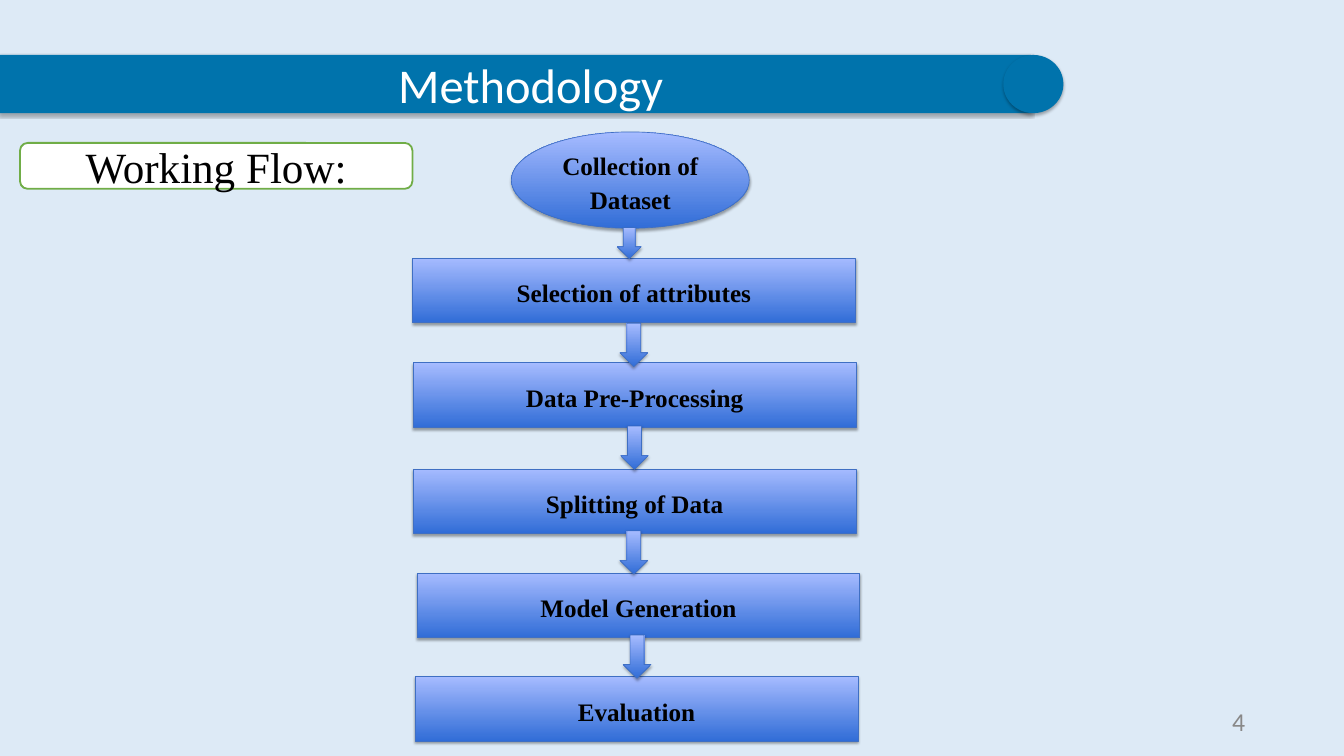
from lxml import etree
from pptx import Presentation
from pptx.dml.color import RGBColor
from pptx.enum import shapes, text
from pptx.oxml import ns
from pptx.util import Inches, Pt

BACKGROUND = RGBColor(0xDD, 0xEA, 0xF6)
TITLE_BLUE = RGBColor(0x00, 0x73, 0xAC)
GREEN = RGBColor(0x70, 0xAD, 0x47)
FLOW_DARK = RGBColor(0x31, 0x6D, 0xD7)
FLOW_LIGHT = RGBColor(0xA6, 0xBB, 0xFF)
FLOW_LINE = RGBColor(0x3F, 0x6F, 0xC3)
WHITE = RGBColor(0xFF, 0xFF, 0xFF)
BLACK = RGBColor(0x00, 0x00, 0x00)
GREY = RGBColor(0x88, 0x88, 0x88)

KIND = shapes.MSO_SHAPE
CENTER = text.PP_ALIGN.CENTER
SERIF = "Times New Roman"


def add_shadow(shape, opacity, blur, distance):
    """Cast a soft black shadow straight down."""
    shape.shadow.inherit = False
    effects = shape._element.spPr.find(ns.qn("a:effectLst"))
    shadow = etree.SubElement(effects, ns.qn("a:outerShdw"), blurRad=str(Pt(blur)),
                              dist=str(Pt(distance)), dir="5400000", rotWithShape="0")
    color = etree.SubElement(shadow, ns.qn("a:srgbClr"), val="000000")
    etree.SubElement(color, ns.qn("a:alpha"), val=str(opacity * 1000))


def write(box, words, size, font, color, bold=False, align=CENTER,
          anchor=text.MSO_ANCHOR.MIDDLE):
    frame = box.text_frame
    frame.word_wrap = True
    frame.vertical_anchor = anchor
    para = frame.paragraphs[0]
    para.alignment = align
    span = para.add_run()
    span.text = words
    for name, value in {"size": Pt(size), "name": font, "bold": bold}.items():
        setattr(span.font, name, value)
    span.font.color.rgb = color
    return para


deck = Presentation()
deck.slide_width, deck.slide_height = Inches(20.79), Inches(11.69)
page = deck.slides.add_slide(deck.slide_layouts[6])
page.background.fill.solid()
page.background.fill.fore_color.rgb = BACKGROUND

# Title bar with a round end
banner = page.shapes.add_group_shape()
bar = banner.shapes.add_shape(KIND.RECTANGLE, Inches(-0.03), Inches(0.85),
                              Inches(15.98), Inches(0.9))
cap = banner.shapes.add_shape(KIND.OVAL, Inches(15.52), Inches(0.85),
                              Inches(0.93), Inches(0.9))
for part in (bar, cap):
    part.fill.solid()
    part.fill.fore_color.rgb = TITLE_BLUE
    part.line.fill.background()
    add_shadow(part, 31, 3.5, 2.2)
write(bar, "Methodology", 54, "Calibri", WHITE, anchor=text.MSO_ANCHOR.TOP)
for side, inset in {"left": 0.5, "right": 0, "top": 0, "bottom": 0}.items():
    setattr(bar.text_frame, f"margin_{side}", Inches(inset))

# Section label
label = page.shapes.add_shape(KIND.ROUNDED_RECTANGLE, Inches(0.31), Inches(2.21),
                              Inches(6.07), Inches(0.71))
label.shadow.inherit = False
label.fill.solid()
label.fill.fore_color.rgb = WHITE
label.line.color.rgb = GREEN
label.line.width = Pt(2)
write(label, "Working Flow:", 48, SERIF, BLACK)

# Page number
number = page.shapes.add_textbox(Inches(14.68), Inches(10.84), Inches(4.68), Inches(0.62))
write(number, "4", 28.7, "Calibri", GREY, align=text.PP_ALIGN.RIGHT)

# Flow chart: steps first, then the arrows on top of them
STEPS = [
    ("Collection of Dataset", KIND.OVAL, 7.91, 2.04, 3.68, 1.49),
    ("Selection of attributes", KIND.RECTANGLE, 6.38, 3.99, 6.85, 1),
    ("Data Pre-Processing", KIND.RECTANGLE, 6.39, 5.61, 6.85, 1),
    ("Splitting of Data", KIND.RECTANGLE, 6.39, 7.25, 6.85, 1),
    ("Model Generation", KIND.RECTANGLE, 6.45, 8.86, 6.85, 1),
    ("Evaluation", KIND.RECTANGLE, 6.42, 10.46, 6.85, 1),
]
ARROWS = [
    ("", KIND.DOWN_ARROW, 9.64, 9.82, 0.43, 0.67),
    ("", KIND.DOWN_ARROW, 9.59, 8.21, 0.43, 0.67),
    ("", KIND.DOWN_ARROW, 9.6, 6.59, 0.43, 0.67),
    ("", KIND.DOWN_ARROW, 9.59, 5, 0.43, 0.67),
    ("", KIND.DOWN_ARROW, 9.55, 3.52, 0.37, 0.48),
]
flow = page.shapes.add_group_shape()
for words, kind, *place in STEPS + ARROWS:
    box = flow.shapes.add_shape(kind, *map(Inches, place))
    box.fill.gradient()
    box.fill.gradient_angle = 90
    for stop, color in zip(box.fill.gradient_stops, (FLOW_DARK, FLOW_LIGHT)):
        stop.color.rgb = color
    box.line.color.rgb = FLOW_LINE
    box.line.width = Pt(0.75)
    add_shadow(box, 35, 3.1, 1.8)
    if words:
        write(box, words, 28, SERIF, BLACK, bold=True).line_spacing = 1.15

deck.save("out.pptx")
